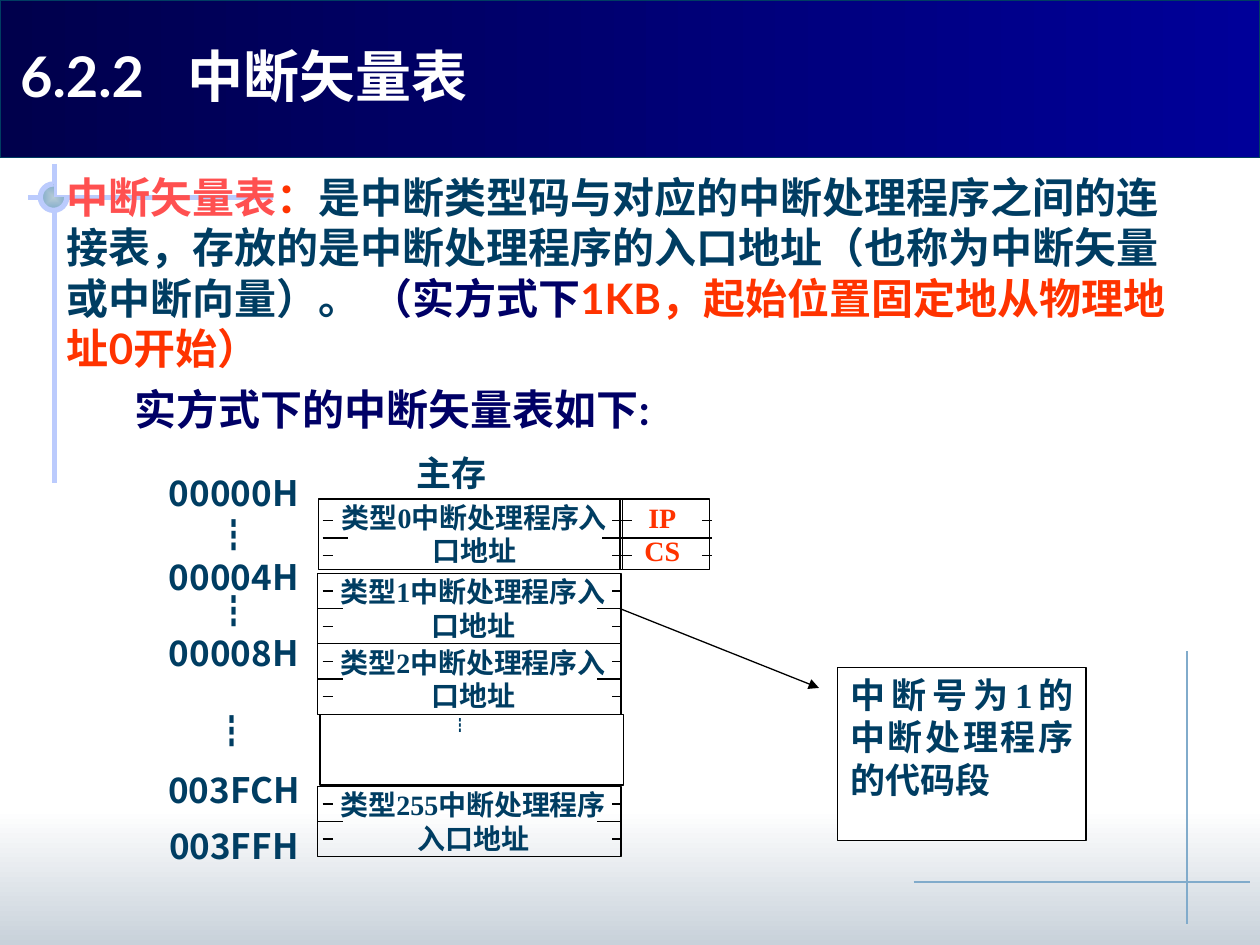
from lxml.etree import SubElement
from pptx import Presentation
from pptx.dml.color import RGBColor
from pptx.enum.shapes import MSO_CONNECTOR as Connector, MSO_SHAPE as Shape
from pptx.enum.text import MSO_ANCHOR as Anchor, MSO_AUTO_SIZE as AutoSize, PP_ALIGN as Align
from pptx.oxml.ns import qn
from pptx.util import Inches, Pt

INK, NAVY, RED, BLACK, WHITE = "003D62", "000066", "FF3300", "000000", "FFFFFF"
PALE, STEEL, MIST = "BBCBFD", "81ABCB", "B6CBD6"
SANS, SERIF, CJK = "Lato", "Times New Roman", "Noto Sans CJK SC"


def rgb(value):
    return RGBColor.from_string(value)


class Page:
    """Draws styled elements on one slide."""

    def __init__(self, deck):
        self.slide = deck.slides.add_slide(deck.slide_layouts[1])
        self.shapes = self.slide.shapes

    def line(self, x1, y1, x2, y2, color=BLACK, width=0.75, arrow=False):
        line = self.shapes.add_connector(
            Connector.STRAIGHT, Inches(x1), Inches(y1), Inches(x2), Inches(y2))
        line.line.color.rgb = rgb(color)
        line.line.width = Pt(width)
        if arrow:
            outline = line._element.spPr.find(qn("a:ln"))
            SubElement(outline, qn("a:tailEnd"), type="triangle")
        SubElement(line._element.spPr, qn("a:effectLst"))

    def shape(self, kind, at, fill=None, color=None, width=0.75):
        shape = self.shapes.add_shape(kind, *map(Inches, at))
        shape.shadow.inherit = False
        if fill:
            shape.fill.solid()
            shape.fill.fore_color.rgb = rgb(fill)
        else:
            shape.fill.background()
        if color:
            shape.line.color.rgb = rgb(color)
            shape.line.width = Pt(width)
        else:
            shape.line.fill.background()
        return shape

    def gradient(self, shape, first, last, angle=None):
        """Fill from first to last colour; without an angle, from the centre outwards."""
        shape.fill.gradient()
        for stop, color, position in zip(shape.fill.gradient_stops, (first, last), (0, 1)):
            stop.color.rgb = rgb(color)
            stop.position = position
        if angle is not None:
            shape.fill.gradient_angle = angle
            return
        grad = shape._element.spPr.find(qn("a:gradFill"))
        grad.remove(grad.find(qn("a:lin")))
        center = SubElement(grad, qn("a:path"), path="rect")
        SubElement(center, qn("a:fillToRect"), l="50000", t="50000", r="50000", b="50000")

    def frame(self, box, insets, anchor=Anchor.TOP):
        frame = box.text_frame
        frame.word_wrap = True
        frame.auto_size = AutoSize.NONE
        frame.vertical_anchor = anchor
        (frame.margin_left, frame.margin_top,
         frame.margin_right, frame.margin_bottom) = map(Inches, insets)
        return frame

    def style(self, para, size, font, color=INK, bold=True, align=Align.CENTER, before=0):
        para.alignment = align
        para.line_spacing = Pt(size * 1.2)
        para.space_before = Pt(before)
        for span in para.runs:
            span.font.size = Pt(size)
            span.font.bold = bold
            span.font.name = font
            span.font.color.rgb = rgb(color)
            SubElement(span.font._element, qn("a:ea"), typeface=CJK)

    def put_text(self, box, text, insets, size, font, **style):
        frame = self.frame(box, insets)
        frame.text = text
        for para in frame.paragraphs:
            self.style(para, size, font, **style)
        return frame

    def label(self, at, text, right=0.1):
        box = self.shapes.add_textbox(*map(Inches, at))
        return self.put_text(box, text, (0.02, 0.01, right, 0.01), 20, CJK)

    def cell(self, at, text, insets=(0.16, 0.01, 0.1, 0.01), size=16, font=SERIF, **style):
        box = self.shape(Shape.RECTANGLE, at, color=BLACK)
        self.put_text(box, text, insets, size, font, **style)

    def ticks(self, y, middle, short):
        """Mark the middle of an entry at y and the bytes above and below it."""
        for start, end in middle:
            self.line(start, y, end, y, width=1)
        for offset in (-0.14, 0.14):
            for start, end in short:
                self.line(start, y + offset, end, y + offset)

    def placeholder(self, box, at):
        """Move a placeholder to its place, in front of everything drawn so far."""
        box.left, box.top, box.width, box.height = map(Inches, at)
        self.shapes._spTree.append(box._element)

    def title(self, at, text, tab):
        box = self.shapes.title
        self.placeholder(box, at)
        frame = self.frame(box, (0.1, 0.05, 0.1, 0.05), Anchor.MIDDLE)
        frame.text = text
        para = frame.paragraphs[0]
        self.style(para, 32, SANS, WHITE, align=Align.LEFT)
        tabs = SubElement(para._p.get_or_add_pPr(), qn("a:tabLst"))
        SubElement(tabs, qn("a:tab"), pos=str(Inches(tab)), algn="l")

    def body(self, at, paragraphs):
        """Fill the body from (first-line indent, [(text, colour), ...]) entries."""
        box = self.slide.placeholders[1]
        self.placeholder(box, at)
        frame = self.frame(box, (0.1, 0.05, 0.1, 0.05))
        for number, (indent, spans) in enumerate(paragraphs):
            para = frame.add_paragraph() if number else frame.paragraphs[0]
            for text, _ in spans:
                para.add_run().text = text
            self.style(para, 24, SANS, align=Align.LEFT, before=6)
            for span, (_, color) in zip(para.runs, spans):
                span.font.color.rgb = rgb(color)
            props = para._p.get_or_add_pPr()
            props.set("marL", "0")
            props.set("indent", str(Inches(indent)))
            SubElement(props, qn("a:buNone"))


def draw_background(page):
    footer = page.shape(Shape.RECTANGLE, (0, 6.42, 10, 1.08))
    page.gradient(footer, WHITE, "C8D1DA", 270)
    page.line(9.42, 5.17, 9.42, 7.33, STEEL)
    page.line(2.17, 1.57, 0.22, 1.57, PALE, 3)
    page.line(0.43, 1.3, 0.43, 3.83, PALE, 3)
    dot = (0.32, 1.46, 0.21, 0.21)
    page.gradient(page.shape(Shape.PIE, dot), MIST, STEEL)
    ring = page.shape(Shape.ARC, dot, color=PALE, width=3)
    ring.adjustments[0], ring.adjustments[1] = 0, 162
    header = page.shape(Shape.RECTANGLE, (0, 0, 10, 1.25), color=INK)
    page.gradient(header, "000099", "00004C", 180)
    page.line(7.25, 7, 9.92, 7, STEEL)


def draw_table(page):
    width, height = 2.41, 0.56
    left_tick = (2.56, 2.64)
    page.cell((2.53, 3.96, width, height), "类型0中断处理程序入口地址")
    page.cell((4.92, 3.96, 0.71, height), "IP\nCS", (0.06, 0.01, 0.1, 0.01), color=RED)
    page.ticks(4.27, [(2.56, 2.76), (4.78, 5.65)],
               [left_tick, (4.86, 5.02), (5.57, 5.65)])
    for number, top in ((1, 4.55), (2, 5.11), (255, 6.24)):
        page.cell((2.52, top, width, height), f"类型{number}中断处理程序入口地址")
        page.ticks(top + height / 2, [(2.52, 2.72), (4.74, 4.94)],
                   [left_tick, (4.86, 4.94)])
    page.cell((2.54, 5.67, width, height), "┇", (0.06, 0.01, 0.25, 0.01),
              size=9, font=CJK, bold=False)

    page.label((3.03, 3.57, 1.19, 0.31), "主存")
    page.label((1.3, 3.73, 1.19, 0.92), "00000H\n┇\n00004H")
    page.label((1.3, 4.67, 1.19, 0.56), "┇\n00008H")
    page.label((1.53, 5.62, 0.67, 0.47), "┇", 0.07)
    last = page.label((1.3, 6.09, 1.19, 0.73), "003FCH\n003FFH")
    last.paragraphs[1].space_before = Pt(7.7)


def main():
    deck = Presentation()
    deck.slide_width, deck.slide_height = Inches(10), Inches(7.5)
    page = Page(deck)
    draw_background(page)
    page.body((0.43, 1.31, 9, 5.98), [
        (0, [("中断矢量表", "FF5050"), ("：", RED),
             ("是中断类型码与对应的中断处理程序之间的连接表，存放的是中断处理程序的入口地址"
              "（也称为中断矢量或中断向量）。 ", INK),
             ("（实方式下", NAVY), ("1KB，起始位置固定地从物理地址0开始）", RED)]),
        (0.54, [("实方式下的中断矢量表如下:", NAVY)]),
    ])
    draw_table(page)
    code = page.shape(Shape.RECTANGLE, (6.65, 5.3, 1.97, 1.37), WHITE, BLACK)
    page.put_text(code, "中断号为1的中断处理程序的代码段", (0.1, 0.05, 0.1, 0.05),
                  20, SERIF, align=Align.JUSTIFY)
    page.line(4.92, 4.83, 6.5, 5.46, arrow=True)
    page.title((0.06, 0.28, 4.56, 0.64), "6.2.2\t中断矢量表", 1.33)
    deck.save("out.pptx")


if __name__ == "__main__":
    main()
